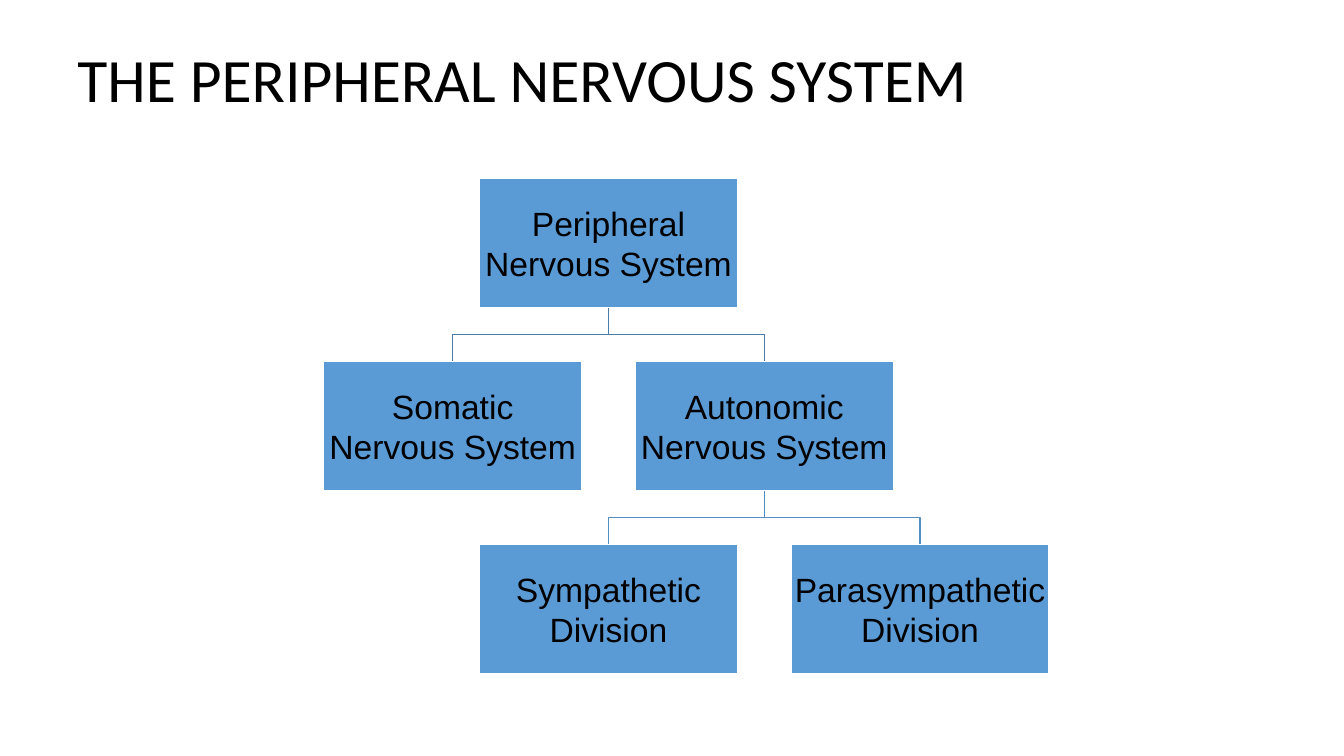
from pptx import Presentation
from pptx.dml.color import RGBColor
from pptx.enum.shapes import MSO_SHAPE as SHAPE
from pptx.enum.text import MSO_ANCHOR as ANCHOR, PP_ALIGN as ALIGN
from pptx.util import Inches, Pt


def rgb(value):
    return RGBColor.from_string(value)


def add_text(tf, text, font, size):
    tf.word_wrap = True
    tf.vertical_anchor = ANCHOR.MIDDLE
    p = tf.paragraphs[0]
    r = p.add_run()
    r.text = text
    r.font.name = font
    r.font.size = Pt(size)
    r.font.color.rgb = rgb("000000")
    return p


prs = Presentation()
prs.slide_width = Inches(13.33)
prs.slide_height = Inches(7.5)
s = prs.slides.add_slide(prs.slide_layouts[6])

title = s.shapes.add_textbox(Inches(0.67), Inches(0.19), Inches(12), Inches(1.25))
p = add_text(title.text_frame, "THE PERIPHERAL NERVOUS SYSTEM", "Calibri", 44)
p.line_spacing = 0.9

BOX_W, BOX_H = 2.56, 1.28
FIRST_CENTER, COL_STEP = 4.49, 1.545
FIRST_TOP, ROW_STEP = 1.77, 1.815

boxes = [
    ("Peripheral Nervous System", 1, 0),
    ("Somatic Nervous System", 0, 1),
    ("Autonomic Nervous System", 2, 1),
    ("Sympathetic Division", 1, 2),
    ("Parasympathetic Division", 3, 2),
]
branches = [
    (2, 1, 3, "538DC1"),
    (2, 1, 1, "538DC1"),
    (1, 0, 2, "497CAB"),
    (1, 0, 0, "497CAB"),
]

for parent_col, parent_row, child_col, color in branches:
    x1 = Inches(FIRST_CENTER + parent_col * COL_STEP)
    x2 = Inches(FIRST_CENTER + child_col * COL_STEP)
    y1 = Inches(FIRST_TOP + parent_row * ROW_STEP + BOX_H)
    y2 = Inches(FIRST_TOP + (parent_row + 1) * ROW_STEP)
    mid = (y1 + y2) // 2
    builder = s.shapes.build_freeform(x1, y1)
    builder.add_line_segments([(x1, mid), (x2, mid), (x2, y2)], close=False)
    sp = builder.convert_to_shape()
    sp.shadow.inherit = False
    sp.fill.background()
    sp.line.color.rgb = rgb(color)
    sp.line.width = Pt(1)

for text, col, row in boxes:
    left = FIRST_CENTER + col * COL_STEP - BOX_W / 2
    top = FIRST_TOP + row * ROW_STEP
    sp = s.shapes.add_shape(SHAPE.RECTANGLE, Inches(left), Inches(top), Inches(BOX_W), Inches(BOX_H))
    sp.shadow.inherit = False
    sp.fill.solid()
    sp.fill.fore_color.rgb = rgb("5B9BD5")
    sp.line.color.rgb = rgb("FFFFFF")
    sp.line.width = Pt(1)
    tf = sp.text_frame
    tf.margin_left = tf.margin_right = tf.margin_top = tf.margin_bottom = Inches(0.02)
    p = add_text(tf, text, "Arial", 24)
    p.alignment = ALIGN.CENTER

prs.save("out.pptx")
